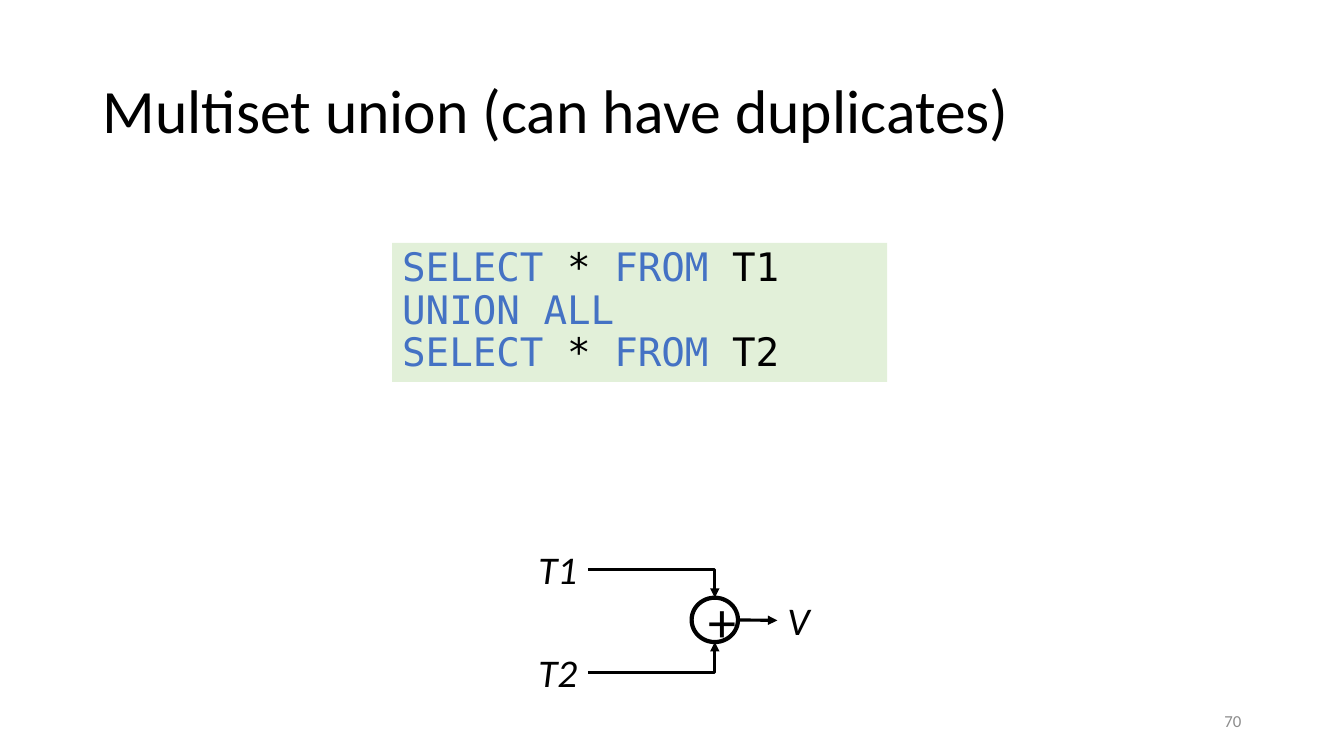
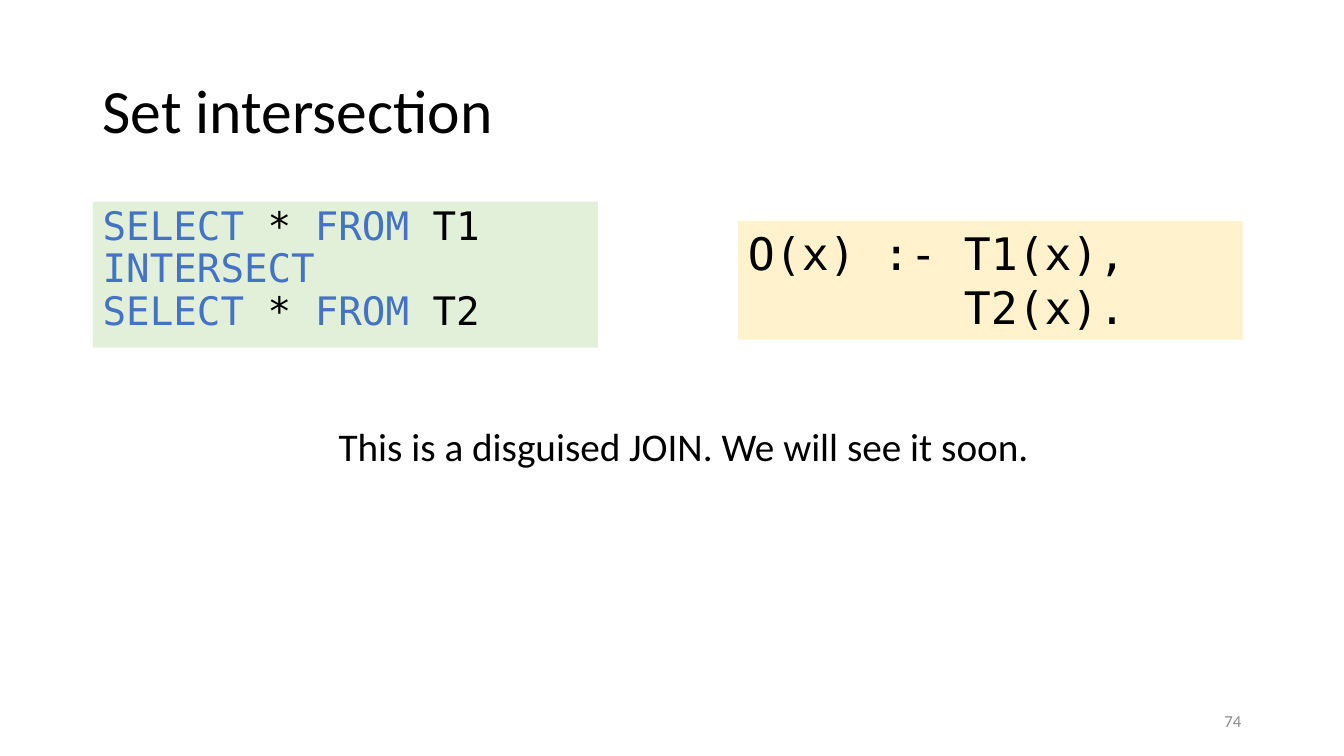
import pptx
import pptx.util
import pptx.dml.color
import pptx.enum.shapes
import pptx.enum.text
import pptx.oxml
import pptx.oxml.ns

Inches, Pt = pptx.util.Inches, pptx.util.Pt
Shape = pptx.enum.shapes.MSO_SHAPE
Link = pptx.enum.shapes.MSO_CONNECTOR
Align = pptx.enum.text.PP_ALIGN
Middle = pptx.enum.text.MSO_ANCHOR.MIDDLE
Fit = pptx.enum.text.MSO_AUTO_SIZE.SHAPE_TO_FIT_TEXT

SANS, MONO = "Calibri", "DejaVu Sans Mono"
BLACK, WHITE, GREY, BLUE = "000000", "FFFFFF", "8C8C8C", "4472C4"
GREEN, CREAM = "E2F0D9", "FFF2CC"
WORDS = {"SELECT", "FROM", "UNION", "ALL", "INTERSECT"}


def color(target, value):
    target.rgb = pptx.dml.color.RGBColor.from_string(value)


def style(para, size, face=SANS, tint=BLACK):
    para.font.size, para.font.name = Pt(size), face
    color(para.font.color, tint)


def text(slide, box, words, size, tint=BLACK, wrap=True):
    """Text box with one paragraph; unwrapped boxes grow with the text."""
    shape = slide.shapes.add_textbox(*map(Inches, box))
    frame = shape.text_frame
    frame.word_wrap = wrap
    if not wrap:
        frame.auto_size = Fit
    para = frame.paragraphs[0]
    para.text = words
    style(para, size, tint=tint)
    return shape


def panel(slide, kind, box, fill):
    """Filled shape without outline or shadow."""
    shape = slide.shapes.add_shape(kind, *map(Inches, box))
    shape.shadow.inherit = False
    shape.fill.solid()
    color(shape.fill.fore_color, fill)
    shape.line.fill.background()
    return shape


def code(slide, box, lines, fill, size, space=1.0):
    """Code panel with SQL keywords in blue."""
    frame = panel(slide, Shape.RECTANGLE, box, fill).text_frame
    frame.word_wrap = True
    frame.vertical_anchor = pptx.enum.text.MSO_ANCHOR.TOP
    for num, line in enumerate(lines):
        para = frame.add_paragraph() if num else frame.paragraphs[0]
        para.alignment, para.line_spacing = Align.LEFT, space
        style(para, size, MONO)
        if not WORDS & set(line.split()):
            para.add_run().text = line
            continue
        for pos, word in enumerate(line.split(" ")):
            run = para.add_run()
            run.text = (" " if pos else "") + word
            if word in WORDS:
                color(run.font.color, BLUE)


def sql(slide, box, verb):
    code(slide, box, ["SELECT * FROM T1", verb, "SELECT * FROM T2"],
         GREEN, 28, 0.9)


def arrow(slide, kind, start, end):
    """Black arrow; an elbow turns once, across and then up or down."""
    link = slide.shapes.add_connector(kind, *map(Inches, start + end))
    link.line.width = Pt(2.25)
    color(link.line.color, BLACK)
    qn, make = pptx.oxml.ns.qn, pptx.oxml.parse_xml
    space = pptx.oxml.ns.nsdecls("a")
    link.line._get_or_add_ln().append(
        make(f'<a:tailEnd {space} type="triangle"/>'))
    props = link._element.spPr
    props.append(make(f"<a:effectLst {space}/>"))
    if kind == Link.ELBOW:
        props.find(qn("a:prstGeom")).set("prst", "bentConnector2")
    return link


def label(slide, left, top, wide, words):
    shape = text(slide, (left, top, wide, 0.57), words, 28, wrap=False)
    shape.text_frame.paragraphs[0].font.italic = True
    return shape


def circuit(slide, left, top):
    """T1 and T2 flow into a plus node, which yields V."""
    wide, high = 0.46, 0.44
    node_x, node_y = left + 1.62, top + 0.57
    mid_x, mid_y = node_x + wide / 2, node_y + high / 2
    node = panel(slide, Shape.OVAL, (node_x, node_y, wide, high), WHITE)
    color(node.line.color, BLACK)
    node.line.width = Pt(3)
    node.text_frame.vertical_anchor = Middle
    para = node.text_frame.paragraphs[0]
    para.text, para.alignment = "+", Align.CENTER
    style(para, 40)

    for name, row, edge in (("T1", top, node_y),
                            ("T2", top + 1.02, node_y + high)):
        label(slide, left, row, 0.59, name)
        arrow(slide, Link.ELBOW, (left + 0.59, row + 0.29), (mid_x, edge))

    out = label(slide, left + 2.47, top + 0.51, 0.42, "V")
    link = arrow(slide, Link.STRAIGHT, (node_x + wide, mid_y),
                 (left + 2.47, mid_y))
    link.end_connect(out, 1)


def page(deck, title, number):
    """Blank slide with the shared title and slide number."""
    slide = deck.slides.add_slide(deck.slide_layouts[6])
    head = text(slide, (0.92, 0.4, 11.5, 1.45), title, 44).text_frame
    head.vertical_anchor = Middle
    head.paragraphs[0].line_spacing = 0.9
    foot = text(slide, (11.99, 6.95, 0.42, 0.4), number, 12, GREY).text_frame
    foot.vertical_anchor = Middle
    foot.paragraphs[0].alignment = Align.RIGHT
    return slide


def union(deck):
    slide = page(deck, "Multiset union (can have duplicates)", "70")
    sql(slide, (3.89, 2.41, 4.91, 1.38), "UNION ALL")
    circuit(slide, 5.24, 5.36)


def common(deck):
    slide = page(deck, "Set intersection", "74")
    sql(slide, (0.92, 2, 5.01, 1.45), "INTERSECT")
    code(slide, (7.32, 2.19, 5.01, 1.18),
         ["O(x) :- T1(x),", "        T2(x)."], CREAM, 32)
    text(slide, (3.26, 4.14, 7.12, 0.57),
         "This is a disguised JOIN. We will see it soon.", 28, wrap=False)


def main():
    deck = pptx.Presentation()
    deck.slide_width, deck.slide_height = Inches(13.33), Inches(7.5)
    union(deck)
    common(deck)
    deck.save("out.pptx")


if __name__ == "__main__":
    main()
